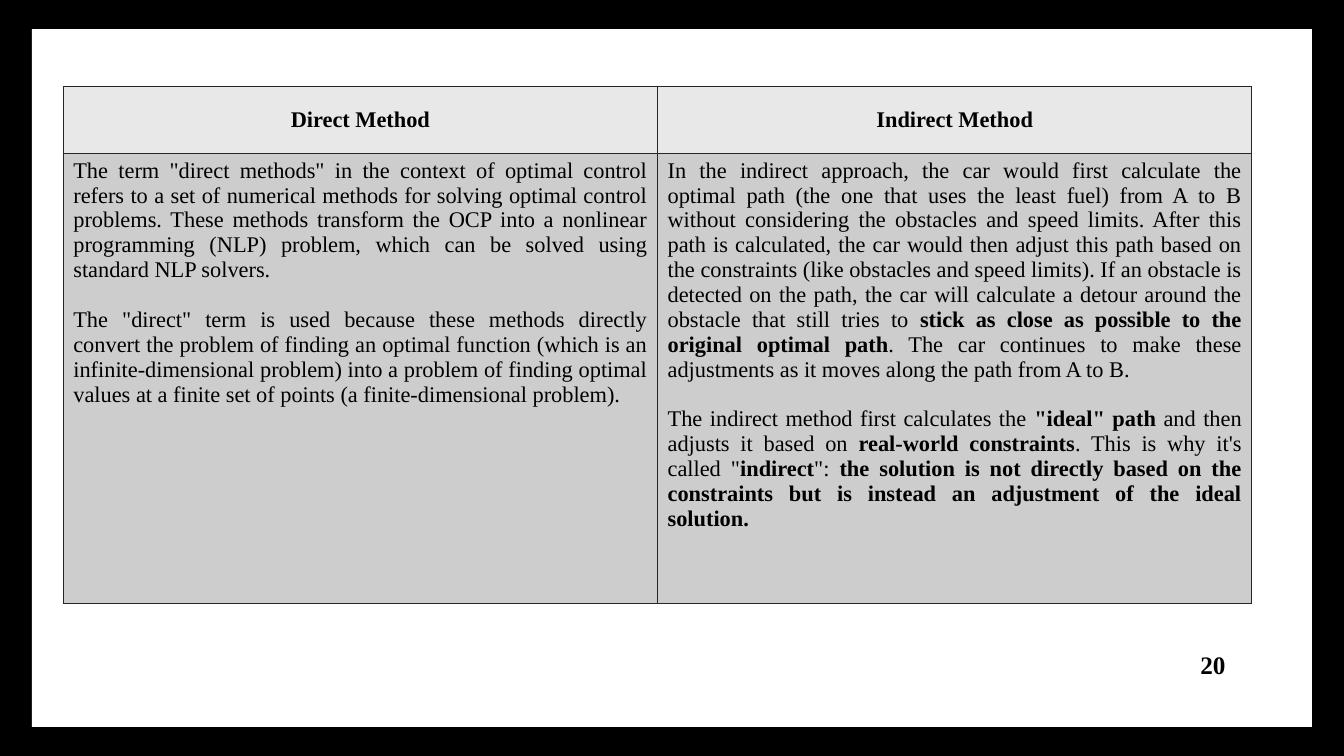
from lxml.etree import SubElement
from pptx import Presentation
from pptx.dml.color import RGBColor
from pptx.enum.shapes import MSO_SHAPE
from pptx.enum.text import MSO_ANCHOR, MSO_AUTO_SIZE, PP_ALIGN
from pptx.oxml.ns import qn
from pptx.util import Pt

# Content: a paragraph is a tuple of pieces, every second piece is bold
HEADERS = ["Direct Method", "Indirect Method"]
BODIES = [
    [
        ('The term "direct methods" in the context of optimal control refers to a set of '
         "numerical methods for solving optimal control problems. These methods transform "
         "the OCP into a nonlinear programming (NLP) problem, which can be solved using "
         "standard NLP solvers.",),
        ('The "direct" term is used because these methods directly convert the problem of '
         "finding an optimal function (which is an infinite-dimensional problem) into a "
         "problem of finding optimal values at a finite set of points (a "
         "finite-dimensional problem).",),
    ],
    [
        ("In the indirect approach, the car would first calculate the optimal path (the one "
         "that uses the least fuel) from A to B without considering the obstacles and speed "
         "limits. After this path is calculated, the car would then adjust this path based "
         "on the constraints (like obstacles and speed limits). If an obstacle is detected "
         "on the path, the car will calculate a detour around the obstacle that still tries "
         "to ",
         "stick as close as possible to the original optimal path",
         ". The car continues to make these adjustments as it moves along the path from A "
         "to B."),
        ("The indirect method first calculates the ",
         '"ideal" path ',
         "and then adjusts it based on ",
         "real-world constraints",
         '. This is why it\'s called "',
         "indirect",
         '": ',
         "the solution is not directly based on the constraints but is instead an "
         "adjustment of the ideal solution."),
    ],
]
PAGE_NUMBER = "20"

COLORS = {"frame": "000000", "panel": "FFFFFF", "text": "000000",
          "header": "E8E8E8", "body": "CDCDCD", "border": "262626"}
FONT = "Times New Roman"
PAGE_WIDTH, PAGE_HEIGHT = 960, 540
TABLE_LEFT, TABLE_TOP = 45.2, 61.8
COLUMN_WIDTH = 424.5
ROW_HEIGHTS = [47.6, 321.8]
PARAGRAPH_GAP = 17.75


def color(name):
    return RGBColor.from_string(COLORS[name])


def add_panel(page, left, top, width, height, fill):
    panel = page.shapes.add_shape(MSO_SHAPE.RECTANGLE, Pt(left), Pt(top), Pt(width), Pt(height))
    panel.shadow.inherit = False
    panel.fill.solid()
    panel.fill.fore_color.rgb = color(fill)
    panel.line.fill.background()


def add_span(para, text, size, bold):
    span = para.add_run()
    span.text = text
    for name, value in {"name": FONT, "size": Pt(size), "bold": bold}.items():
        setattr(span.font, name, value)
    span.font.color.rgb = color("text")


def style_cell(cell, fill):
    properties = cell._tc.get_or_add_tcPr()
    for side in ("lnL", "lnR", "lnT", "lnB"):
        line = SubElement(properties, qn(f"a:{side}"), w=str(Pt(1)))
        SubElement(SubElement(line, qn("a:solidFill")), qn("a:srgbClr"), val=COLORS["border"])
    cell.fill.solid()
    cell.fill.fore_color.rgb = color(fill)


def fill_table(table):
    for column, (header, body) in enumerate(zip(HEADERS, BODIES)):
        table.columns[column].width = Pt(COLUMN_WIDTH)

        # Header cell
        cell = table.cell(0, column)
        style_cell(cell, "header")
        cell.vertical_anchor = MSO_ANCHOR.MIDDLE
        para = cell.text_frame.paragraphs[0]
        para.alignment = PP_ALIGN.CENTER
        add_span(para, header, 16, True)

        # Body cell
        cell = table.cell(1, column)
        style_cell(cell, "body")
        frame = cell.text_frame
        for number, pieces in enumerate(body):
            para = frame.add_paragraph() if number else frame.paragraphs[0]
            para.alignment = PP_ALIGN.JUSTIFY
            if number:
                para.space_before = Pt(PARAGRAPH_GAP)
            for index, text in enumerate(pieces):
                add_span(para, text, 16, index % 2 == 1)


def main():
    deck = Presentation()
    deck.slide_width, deck.slide_height = Pt(PAGE_WIDTH), Pt(PAGE_HEIGHT)
    page = deck.slides.add_slide(deck.slide_layouts[6])

    # Black frame and white panel
    add_panel(page, 0, 0, PAGE_WIDTH, PAGE_HEIGHT, "frame")
    add_panel(page, 22.8, 20.8, 914.4, 498.4, "panel")

    # Page number
    box = page.shapes.add_textbox(Pt(850.3), Pt(460.1), Pt(36), Pt(29))
    box.text_frame.word_wrap = True
    box.text_frame.auto_size = MSO_AUTO_SIZE.SHAPE_TO_FIT_TEXT
    add_span(box.text_frame.paragraphs[0], PAGE_NUMBER, 18, True)

    # Comparison table
    table = page.shapes.add_table(
        len(ROW_HEIGHTS), len(HEADERS), Pt(TABLE_LEFT), Pt(TABLE_TOP),
        Pt(COLUMN_WIDTH * len(HEADERS)), Pt(sum(ROW_HEIGHTS))).table
    for row, height in zip(table.rows, ROW_HEIGHTS):
        row.height = Pt(height)
    fill_table(table)

    deck.save("out.pptx")


if __name__ == "__main__":
    main()
